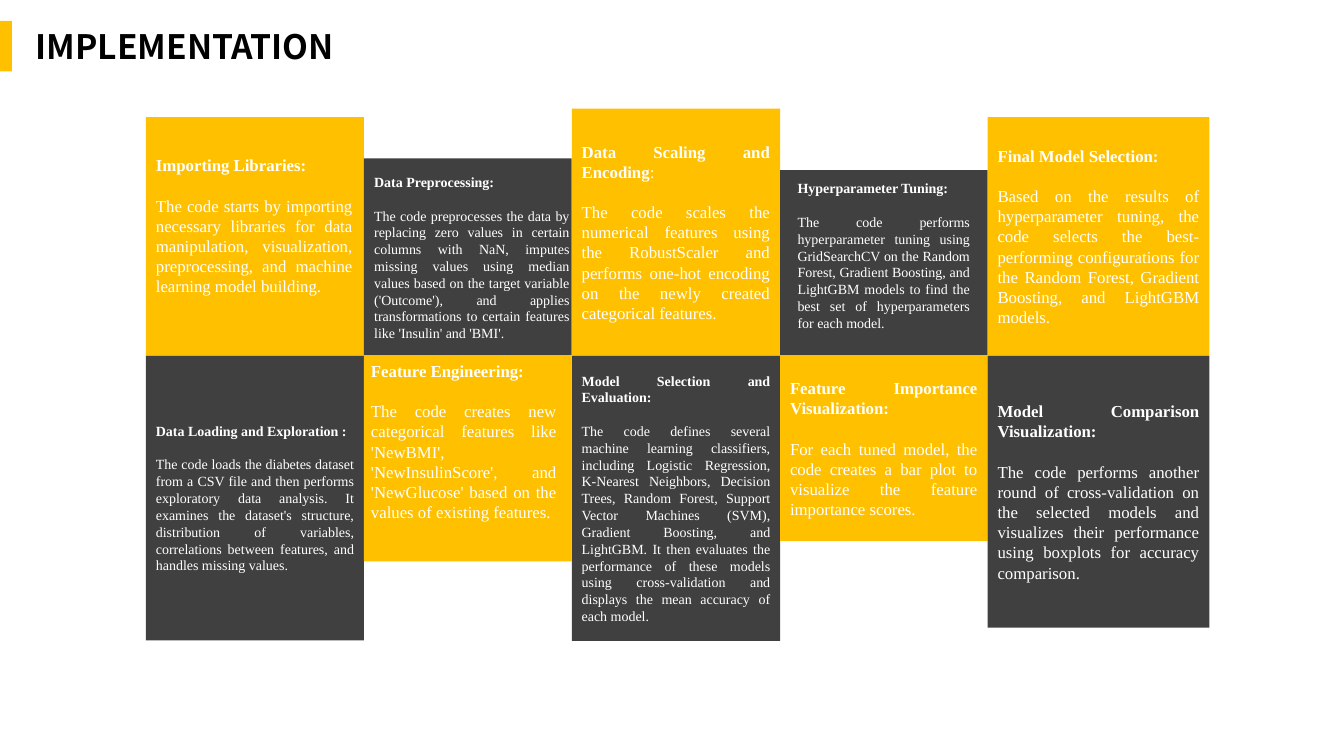
from pptx import Presentation
from pptx.dml.color import RGBColor
from pptx.enum import shapes, text
from pptx.util import Cm, Pt

YELLOW = RGBColor(0xFF, 0xC0, 0x00)
DARK = RGBColor(0x40, 0x40, 0x40)
WHITE = RGBColor(0xFF, 0xFF, 0xFF)
BLACK = RGBColor(0x00, 0x00, 0x00)

# Tile grid in cm: column edges, the shared middle line, outer edges per column
EDGES = [3.68, 9.17, 14.41, 19.66, 24.89, 30.48]
MIDDLE = 8.96
TOPS = [2.95, 3.99, 2.74, 4.29, 2.95]
BOTTOMS = [16.14, 14.15, 16.15, 13.64, 15.82]

# Steps by (column, row): heading, body, size, separate text box or None
STEPS = {
    (0, 0): ("Importing Libraries:",
             "The code starts by importing necessary libraries for data manipulation, "
             "visualization, preprocessing, and machine learning model building.",
             12, (3.68, 3.78, 5.46, 4.65)),
    (0, 1): ("Data Loading and Exploration :",
             "The code loads the diabetes dataset from a CSV file and then performs "
             "exploratory data analysis. It examines the dataset's structure, distribution "
             "of variables, correlations between features, and handles missing values.",
             10, None),
    (1, 0): ("Data Preprocessing:",
             "The code preprocesses the data by replacing zero values in certain columns "
             "with NaN, imputes missing values using median values based on the target "
             "variable ('Outcome'), and applies transformations to certain features like "
             "'Insulin' and 'BMI'.",
             10, (9.3, 4.29, 5.18, 4.14)),
    (1, 1): ("Feature Engineering:",
             "The code creates new categorical features like 'NewBMI', 'NewInsulinScore', "
             "and 'NewGlucose' based on the values of existing features.",
             12, (9.1, 8.96, 5.18, 3.76)),
    (2, 0): ("Data Scaling and Encoding:",
             "The code scales the numerical features using the RobustScaler and performs "
             "one-hot encoding on the newly created categorical features.",
             12, None),
    (2, 1): ("Model Selection and Evaluation:",
             "The code defines several machine learning classifiers, including Logistic "
             "Regression, K-Nearest Neighbors, Decision Trees, Random Forest, Support Vector "
             "Machines (SVM), Gradient Boosting, and LightGBM. It then evaluates the "
             "performance of these models using cross-validation and displays the mean "
             "accuracy of each model.",
             10, None),
    (3, 0): ("Hyperparameter Tuning:",
             "The code performs hyperparameter tuning using GridSearchCV on the Random "
             "Forest, Gradient Boosting, and LightGBM models to find the best set of "
             "hyperparameters for each model.",
             10, (19.97, 4.45, 4.6, 4.24)),
    (3, 1): ("Feature Importance Visualization:",
             "For each tuned model, the code creates a bar plot to visualize the feature "
             "importance scores.",
             12, None),
    (4, 0): ("Final Model Selection:",
             "Based on the results of hyperparameter tuning, the code selects the "
             "best-performing configurations for the Random Forest, Gradient Boosting, and "
             "LightGBM models.",
             12, None),
    (4, 1): ("Model Comparison Visualization:",
             "The code performs another round of cross-validation on the selected models "
             "and visualizes their performance using boxplots for accuracy comparison.",
             12, None),
}


def add_block(left, top, width, height, color):
    shape = slide.shapes.add_shape(shapes.MSO_SHAPE.RECTANGLE,
                                   Cm(left), Cm(top), Cm(width), Cm(height))
    shape.shadow.inherit = False
    shape.fill.solid()
    shape.fill.fore_color.rgb = color
    shape.line.fill.background()
    return shape


def add_run(paragraph, words, size, bold, color=WHITE, name="Times New Roman"):
    run = paragraph.add_run()
    run.text = words
    formats = {"size": Pt(size), "bold": bold, "name": name}
    for attribute, value in formats.items():
        setattr(run.font, attribute, value)
    run.font.color.rgb = color


presentation = Presentation()
presentation.slide_width, presentation.slide_height = Cm(33.87), Cm(19.05)
slide = presentation.slides.add_slide(presentation.slide_layouts[5])

# Title with accent bar
title = slide.shapes.title
placement = {"left": Cm(0.64), "top": Cm(0.53), "width": Cm(9.68), "height": Cm(1.27)}
for attribute, value in placement.items():
    setattr(title, attribute, value)
title.text_frame.auto_size = text.MSO_AUTO_SIZE.NONE
title.text_frame.vertical_anchor = text.MSO_ANCHOR.MIDDLE
heading_line = title.text_frame.paragraphs[0]
heading_line.alignment = text.PP_ALIGN.LEFT
add_run(heading_line, "IMPLEMENTATION", 24, True, BLACK, "Noto Sans CJK SC")
add_block(0, 0.53, 0.3, 1.27, YELLOW)

# Checkerboard of tiles
tiles = {}
for column, row in STEPS:
    left, right = EDGES[column:column + 2]
    top, bottom = (MIDDLE, BOTTOMS[column]) if row else (TOPS[column], MIDDLE)
    color = DARK if (column + row) % 2 else YELLOW
    tiles[column, row] = add_block(left, top, right - left, bottom - top, color)

# Step descriptions, in the tile or in a text box over it
for (column, row), (heading, body, size, box) in STEPS.items():
    if box:
        frame = slide.shapes.add_textbox(*map(Cm, box)).text_frame
        anchor = text.MSO_ANCHOR.TOP
    else:
        frame = tiles[column, row].text_frame
        anchor = text.MSO_ANCHOR.MIDDLE
    narrow = box and size == 10
    side, edge = (Cm(0.13), Cm(0.08)) if narrow else (Cm(0.25), Cm(0.13))
    formats = {"word_wrap": True, "vertical_anchor": anchor,
               "margin_left": side, "margin_right": side,
               "margin_top": edge, "margin_bottom": edge}
    for attribute, value in formats.items():
        setattr(frame, attribute, value)
    first, second = frame.paragraphs[0], frame.add_paragraph()
    first.alignment = second.alignment = text.PP_ALIGN.JUSTIFY
    first.space_after = Pt(size * 1.2)
    if (column, row) == (2, 0):
        add_run(first, heading[:-1], size, True)
        add_run(first, ":", size, False)
    else:
        add_run(first, heading, size, True)
    add_run(second, body, size, False)

presentation.save("out.pptx")
